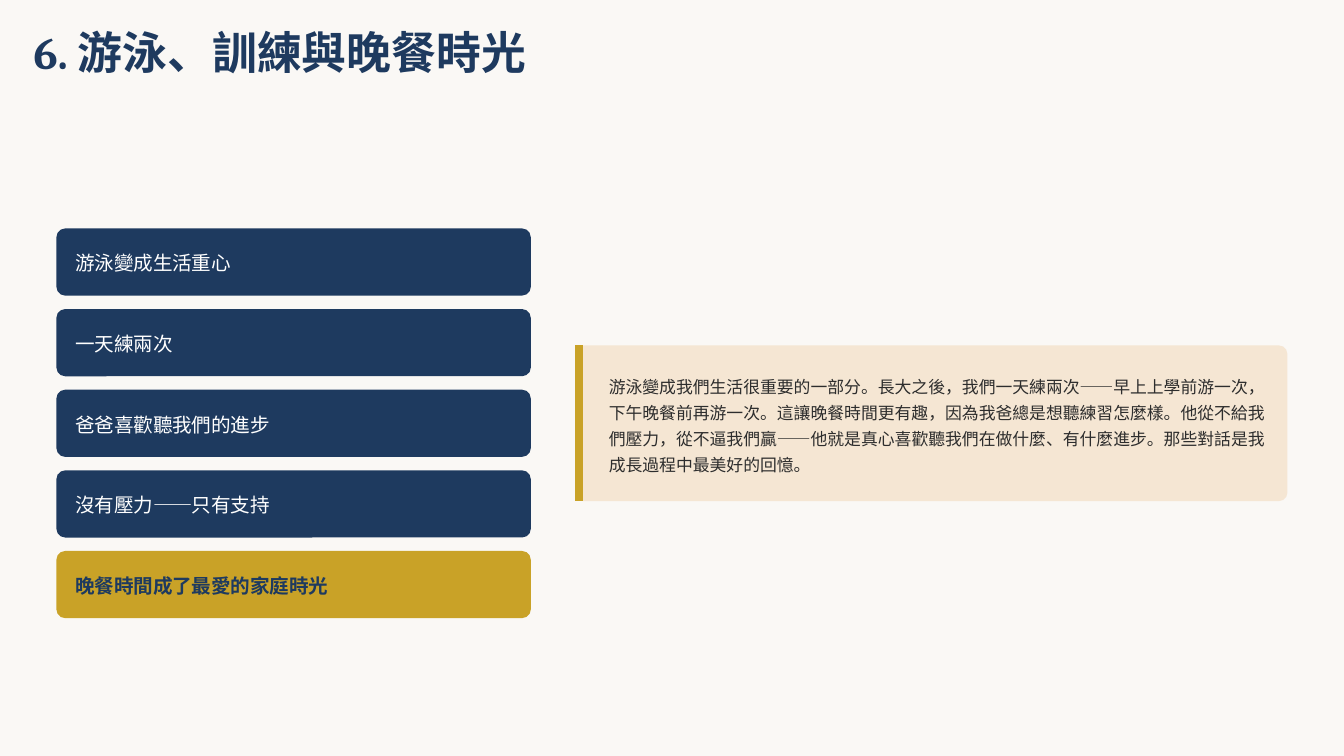
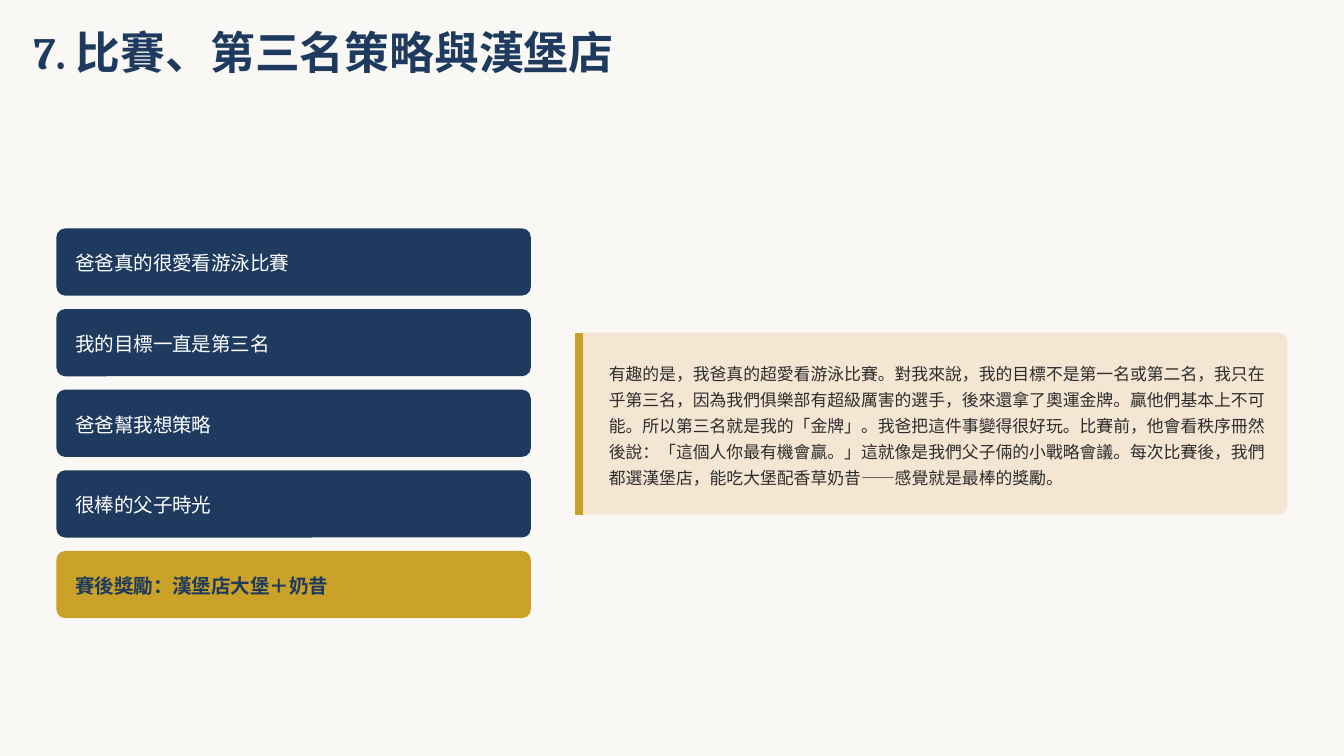
from dataclasses import dataclass

from lxml import etree
from pptx import Presentation
from pptx import util as u
from pptx.dml.color import RGBColor
from pptx.enum import shapes, text
from pptx.oxml import ns

PX = 4572


def px(n):
    return u.Emu(n * PX)


@dataclass(frozen=True)
class Font:
    name: str
    size: float
    lead: float
    bold: bool = False


@dataclass(frozen=True)
class Theme:
    paper: str = "FAF8F5"
    navy: str = "1E3A5F"
    gold: str = "C9A227"
    cream: str = "F5E6D3"
    white: str = "FFFFFF"
    ink: str = "2D2D2D"
    head: Font = Font("Cambria", 24, 24, True)
    item: Font = Font("Arial", 10.5, 14.7)
    key: Font = Font("Arial", 10.5, 14.7, True)
    body: Font = Font("Arial", 9, 13.9)
    round: int = 13
    rule: float = 4.5


class Deck:
    def __init__(self, theme):
        self.theme = theme
        self.prs = Presentation()
        self.prs.slide_width = px(2000)
        self.prs.slide_height = px(1125)
        self.slide = None

    def page(self, title):
        self.slide = self.prs.slides.add_slide(self.prs.slide_layouts[6])
        fill = self.slide.background.fill
        fill.solid()
        fill.fore_color.rgb = RGBColor.from_string(self.theme.paper)
        self.label(title, 50, 50, 972, 66, self.theme.head, self.theme.navy)

    def label(self, words, x, y, w, h, font, color):
        frame = self.slide.shapes.add_textbox(px(x), px(y), px(w), px(h)).text_frame
        frame.margin_left = frame.margin_right = 0
        frame.margin_top = frame.margin_bottom = 0
        frame.word_wrap = True
        frame.vertical_anchor = text.MSO_ANCHOR.TOP
        frame.text = words
        para = frame.paragraphs[0]
        para.alignment = text.PP_ALIGN.LEFT
        para.line_spacing = u.Pt(font.lead)
        face = para.runs[0].font
        face.name = font.name
        face.size = u.Pt(font.size)
        face.bold = font.bold
        face.color.rgb = RGBColor.from_string(color)

    def card(self, x, y, w, h, color):
        box = self.slide.shapes.add_shape(
            shapes.MSO_SHAPE.ROUNDED_RECTANGLE, px(x), px(y), px(w), px(h))
        box.adjustments[0] = self.theme.round / min(w, h)
        box.shadow.inherit = False
        box.fill.solid()
        box.fill.fore_color.rgb = RGBColor.from_string(color)
        box.line.fill.background()

    def rule(self, x, top, end):
        line = self.slide.shapes.add_connector(
            shapes.MSO_CONNECTOR.STRAIGHT, px(x), px(top), px(x), px(end))
        line.line.color.rgb = RGBColor.from_string(self.theme.gold)
        line.line.width = u.Pt(self.theme.rule)
        etree.SubElement(line._element.spPr, ns.qn("a:effectLst"))

    def points(self, items):
        t = self.theme
        for i, words in enumerate(items):
            last = i == len(items) - 1
            y = 340 + 120 * i
            self.card(84, y, 706, 100, t.gold if last else t.navy)
            self.label(words, 112, y + 28, 662, 40,
                       t.key if last else t.item, t.navy if last else t.white)

    def story(self, words, rows):
        t = self.theme
        pad = 38
        copy = 39 * rows
        tall = copy + 2 * pad
        top = 630 - tall // 2
        self.card(856, top, 1060, tall, t.cream)
        self.rule(862, top, top + tall)
        self.label(words, 906, top + pad, 992, copy, t.body, t.ink)


PAGES = [
    (
        "6. 游泳、訓練與晚餐時光",
        ["游泳變成生活重心", "一天練兩次", "爸爸喜歡聽我們的進步",
         "沒有壓力——只有支持", "晚餐時間成了最愛的家庭時光"],
        "游泳變成我們生活很重要的一部分。長大之後，我們一天練兩次——早上上學前游一次，"
        "下午晚餐前再游一次。這讓晚餐時間更有趣，因為我爸總是想聽練習怎麼樣。他從不給我"
        "們壓力，從不逼我們贏——他就是真心喜歡聽我們在做什麼、有什麼進步。那些對話是我"
        "成長過程中最美好的回憶。",
        4,
    ),
    (
        "7. 比賽、第三名策略與漢堡店",
        ["爸爸真的很愛看游泳比賽", "我的目標一直是第三名", "爸爸幫我想策略",
         "很棒的父子時光", "賽後獎勵：漢堡店大堡＋奶昔"],
        "有趣的是，我爸真的超愛看游泳比賽。對我來說，我的目標不是第一名或第二名，我只在"
        "乎第三名，因為我們俱樂部有超級厲害的選手，後來還拿了奧運金牌。贏他們基本上不可"
        "能。所以第三名就是我的「金牌」。我爸把這件事變得很好玩。比賽前，他會看秩序冊然"
        "後說：「這個人你最有機會贏。」這就像是我們父子倆的小戰略會議。每次比賽後，我們"
        "都選漢堡店，能吃大堡配香草奶昔——感覺就是最棒的獎勵。",
        5,
    ),
]


def main():
    deck = Deck(Theme())
    for title, items, words, rows in PAGES:
        deck.page(title)
        deck.points(items)
        deck.story(words, rows)
    deck.prs.save("out.pptx")


if __name__ == "__main__":
    main()
